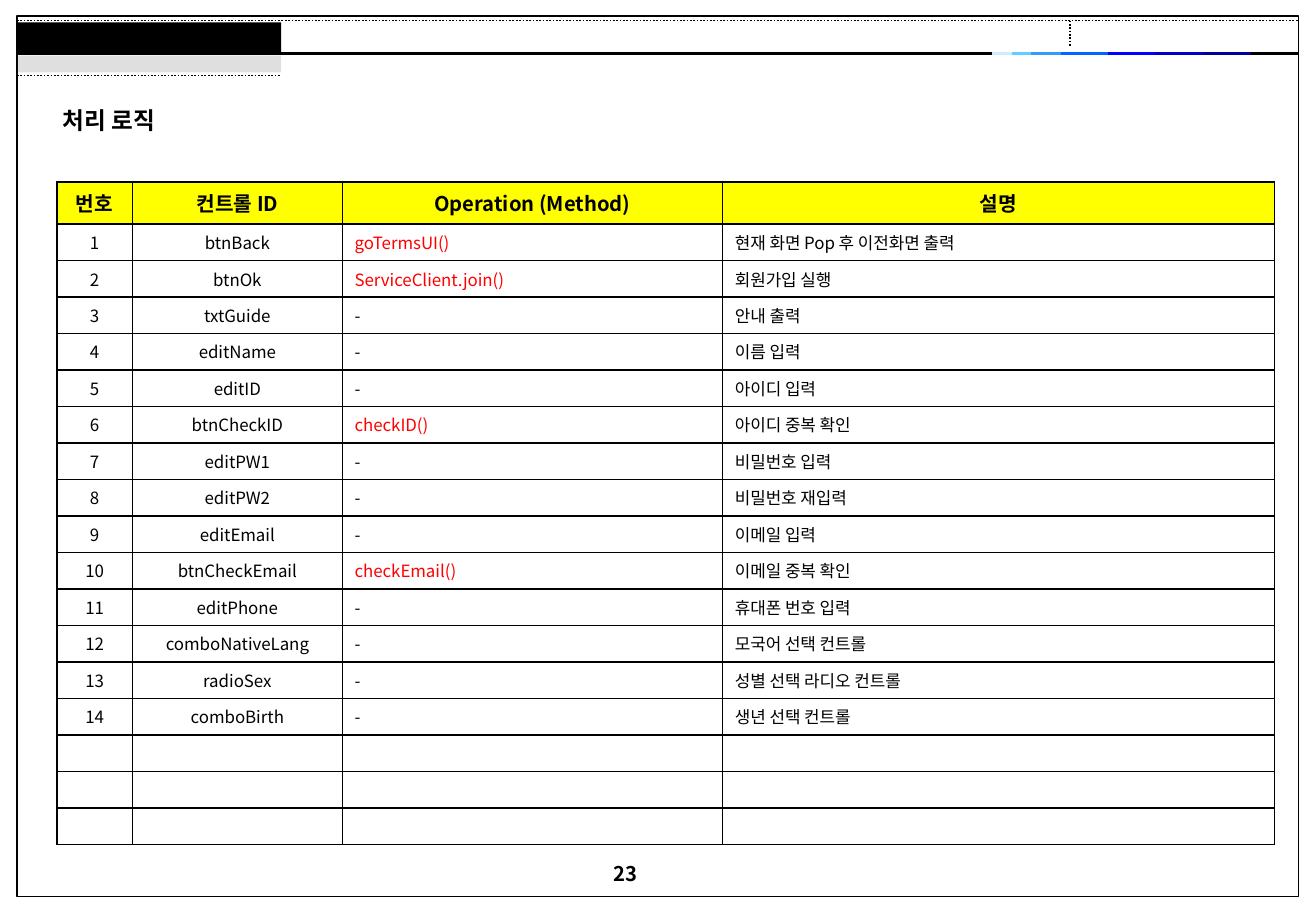
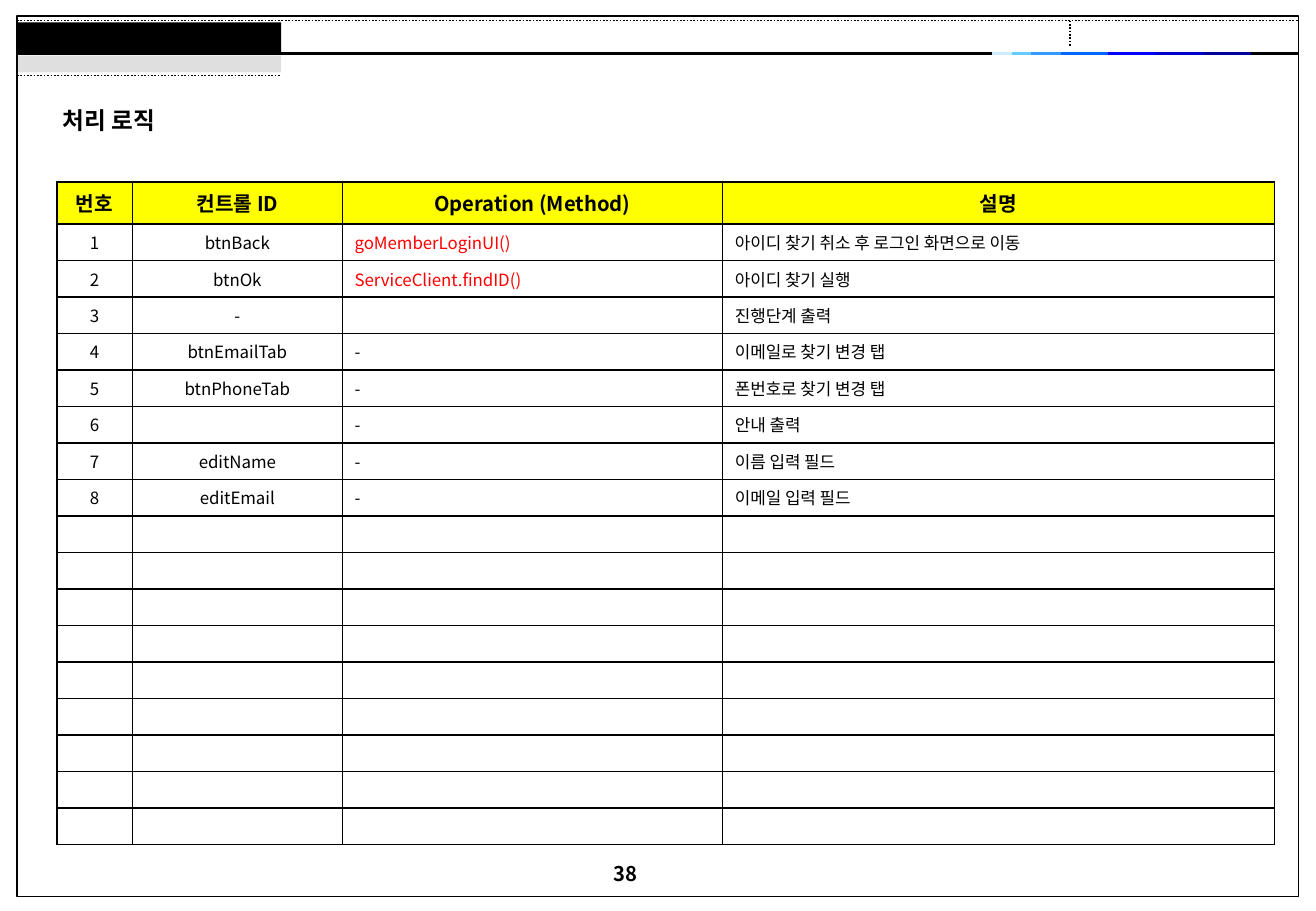
from dataclasses import dataclass
from itertools import pairwise
from typing import NamedTuple

from lxml.etree import SubElement
from pptx import Presentation
from pptx.dml.color import RGBColor
from pptx.enum.dml import MSO_LINE_DASH_STYLE as Dash
from pptx.enum.shapes import MSO_CONNECTOR as Connector, MSO_SHAPE as Shape
from pptx.enum.text import MSO_ANCHOR as Anchor, PP_ALIGN as Align
from pptx.oxml.ns import qn
from pptx.slide import Slide
from pptx.table import _Cell as Cell
from pptx.util import Pt

FONT = "Noto Sans CJK KR"
BLACK = RGBColor(0x00, 0x00, 0x00)
GREY = RGBColor(0xC0, 0xC0, 0xC0)
RED = RGBColor(0xFF, 0x00, 0x00)
YELLOW = RGBColor(0xFF, 0xFF, 0x00)
ACCENTS = [
    RGBColor(0xCC, 0xEC, 0xFF),
    RGBColor(0x66, 0xCC, 0xFF),
    RGBColor(0x33, 0x99, 0xFF),
    RGBColor(0x00, 0x66, 0xFF),
    RGBColor(0x00, 0x00, 0xFF),
    RGBColor(0x00, 0x00, 0xCC),
    RGBColor(0x00, 0x00, 0x99),
]
ACCENT_STOPS = [588.2, 599.8, 611.3, 628.6, 656.6, 684.7, 713.5, 741.6]

FRAME_LEFT, FRAME_RIGHT = 10.1, 769.7
RULE_TOP = 31.7
DOTS_TOP = 12.2

TITLE = "처리 로직"
HEADERS = ("번호", "컨트롤 ID", "Operation (Method)", "설명")
COLUMN_WIDTHS = (44.6, 124.6, 225.4, 327)
HEADER_HEIGHT, ROW_HEIGHT = 24.8, 21.63
BODY_ROWS = 17
CENTRED_COLUMNS = 2


class Box(NamedTuple):
    left: float
    top: float
    width: float
    height: float

    def lengths(self) -> list[Pt]:
        return [Pt(value) for value in self]


class Control(NamedTuple):
    name: str
    method: str
    description: str


@dataclass
class LogicPage:
    number: int
    controls: list[Control]


PAGES = [
    LogicPage(23, [
        Control("btnBack", "goTermsUI()", "현재 화면 Pop 후 이전화면 출력"),
        Control("btnOk", "ServiceClient.join()", "회원가입 실행"),
        Control("txtGuide", "-", "안내 출력"),
        Control("editName", "-", "이름 입력"),
        Control("editID", "-", "아이디 입력"),
        Control("btnCheckID", "checkID()", "아이디 중복 확인"),
        Control("editPW1", "-", "비밀번호 입력"),
        Control("editPW2", "-", "비밀번호 재입력"),
        Control("editEmail", "-", "이메일 입력"),
        Control("btnCheckEmail", "checkEmail()", "이메일 중복 확인"),
        Control("editPhone", "-", "휴대폰 번호 입력"),
        Control("comboNativeLang", "-", "모국어 선택 컨트롤"),
        Control("radioSex", "-", "성별 선택 라디오 컨트롤"),
        Control("comboBirth", "-", "생년 선택 컨트롤"),
    ]),
    LogicPage(38, [
        Control("btnBack", "goMemberLoginUI()", "아이디 찾기 취소 후 로그인 화면으로 이동"),
        Control("btnOk", "ServiceClient.findID()", "아이디 찾기 실행"),
        Control("-", "", "진행단계 출력"),
        Control("btnEmailTab", "-", "이메일로 찾기 변경 탭"),
        Control("btnPhoneTab", "-", "폰번호로 찾기 변경 탭"),
        Control("", "-", "안내 출력"),
        Control("editName", "-", "이름 입력 필드"),
        Control("editEmail", "-", "이메일 입력 필드"),
    ]),
]


def write(para, text: str, size: float, bold: bool = False, color: RGBColor = BLACK) -> None:
    """Fill a paragraph; an empty one still keeps its text size."""
    if text:
        para.add_run().text = text
    else:
        SubElement(para._p, qn("a:endParaRPr"), sz=str(int(size * 100)))
    font = para.font
    font.size, font.bold, font.name = Pt(size), bold, FONT
    font.color.rgb = color
    SubElement(font._rPr, qn("a:ea"), typeface=FONT)


def add_label(page: Slide, box: Box, text: str, size: float) -> None:
    frame = page.shapes.add_textbox(*box.lengths()).text_frame
    frame.word_wrap = True
    write(frame.paragraphs[0], text, size, bold=True)


def add_line(page: Slide, start: tuple[float, float], end: tuple[float, float],
             color: RGBColor = BLACK, width: float = 2.25) -> None:
    points = [Pt(value) for value in (*start, *end)]
    connector = page.shapes.add_connector(Connector.STRAIGHT, *points)
    connector.line.color.rgb = color
    connector.line.width = Pt(width)
    if width == 1:
        connector.line.dash_style = Dash.ROUND_DOT
    SubElement(connector._element.spPr, qn("a:effectLst"))


def add_band(page: Slide, box: Box, color: RGBColor, opacity: int = 100) -> None:
    band = page.shapes.add_shape(Shape.RECTANGLE, *box.lengths())
    band.shadow.inherit = False
    band.fill.solid()
    band.fill.fore_color.rgb = color
    band.line.fill.background()
    if opacity < 100:
        tint = band._element.spPr.find(f".//{qn('a:srgbClr')}")
        SubElement(tint, qn("a:alpha"), val=str(opacity * 1000))


def draw_master(page: Slide) -> None:
    """Draw the border, bands and rules shared by all pages."""
    border = page.shapes.add_shape(
        Shape.RECTANGLE, *Box(FRAME_LEFT, 9.4, FRAME_RIGHT - FRAME_LEFT, 522).lengths())
    border.shadow.inherit = False
    border.fill.background()
    border.line.color.rgb = BLACK
    border.line.width = Pt(1)

    add_line(page, (FRAME_LEFT, RULE_TOP), (FRAME_RIGHT, RULE_TOP))
    add_line(page, (FRAME_LEFT, DOTS_TOP), (FRAME_RIGHT, DOTS_TOP), width=1)
    for (left, right), color in zip(pairwise(ACCENT_STOPS), ACCENTS):
        add_line(page, (left, RULE_TOP), (right, RULE_TOP), color)
    add_line(page, (634.3, DOTS_TOP), (634.3, 27.2), width=1)
    add_band(page, Box(10.6, 13.2, 156, 18), BLACK)
    add_band(page, Box(10.6, 33, 156, 10), GREY, opacity=50)
    add_line(page, (FRAME_LEFT, 44.7), (166.3, 44.7), width=1)


def add_borders(cell: Cell) -> None:
    properties = cell._tc.get_or_add_tcPr()
    for side in ("lnL", "lnR", "lnT", "lnB"):
        line = SubElement(properties, qn(f"a:{side}"), w=str(Pt(1)))
        fill = SubElement(line, qn("a:solidFill"))
        SubElement(fill, qn("a:srgbClr"), val=str(BLACK))


def add_control_table(page: Slide, controls: list[Control]) -> None:
    rows = [HEADERS]
    rows += [(str(number), *control) for number, control in enumerate(controls, 1)]
    rows += [("",) * len(HEADERS)] * (BODY_ROWS - len(controls))
    box = Box(33.8, 108, sum(COLUMN_WIDTHS), HEADER_HEIGHT + BODY_ROWS * ROW_HEIGHT)
    table = page.shapes.add_table(len(rows), len(HEADERS), *box.lengths()).table
    table.first_row = table.horz_banding = False
    for column, width in zip(table.columns, COLUMN_WIDTHS):
        column.width = Pt(width)

    for row_index, texts in enumerate(rows):
        is_header = row_index == 0
        table.rows[row_index].height = Pt(HEADER_HEIGHT if is_header else ROW_HEIGHT)
        for column_index, text in enumerate(texts):
            cell = table.cell(row_index, column_index)
            cell.vertical_anchor = Anchor.MIDDLE
            add_borders(cell)
            if is_header:
                cell.fill.solid()
                cell.fill.fore_color.rgb = YELLOW
            else:
                cell.fill.background()
            para = cell.text_frame.paragraphs[0]
            centred = is_header or column_index < CENTRED_COLUMNS
            para.alignment = Align.CENTER if centred else Align.LEFT
            write(para, text, 12 if is_header else 10, is_header,
                  RED if text.endswith("()") else BLACK)


def main() -> None:
    deck = Presentation()
    deck.slide_width, deck.slide_height = Pt(780), Pt(540)
    blank = deck.slide_layouts[6]
    for content in PAGES:
        page = deck.slides.add_slide(blank)
        draw_master(page)
        add_label(page, Box(356.4, 507, 67.7, 31.7), str(content.number), 12)
        add_control_table(page, content.controls)
        add_label(page, Box(30, 59, 144.7, 24.5), TITLE, 14)
    deck.save("out.pptx")


if __name__ == "__main__":
    main()
